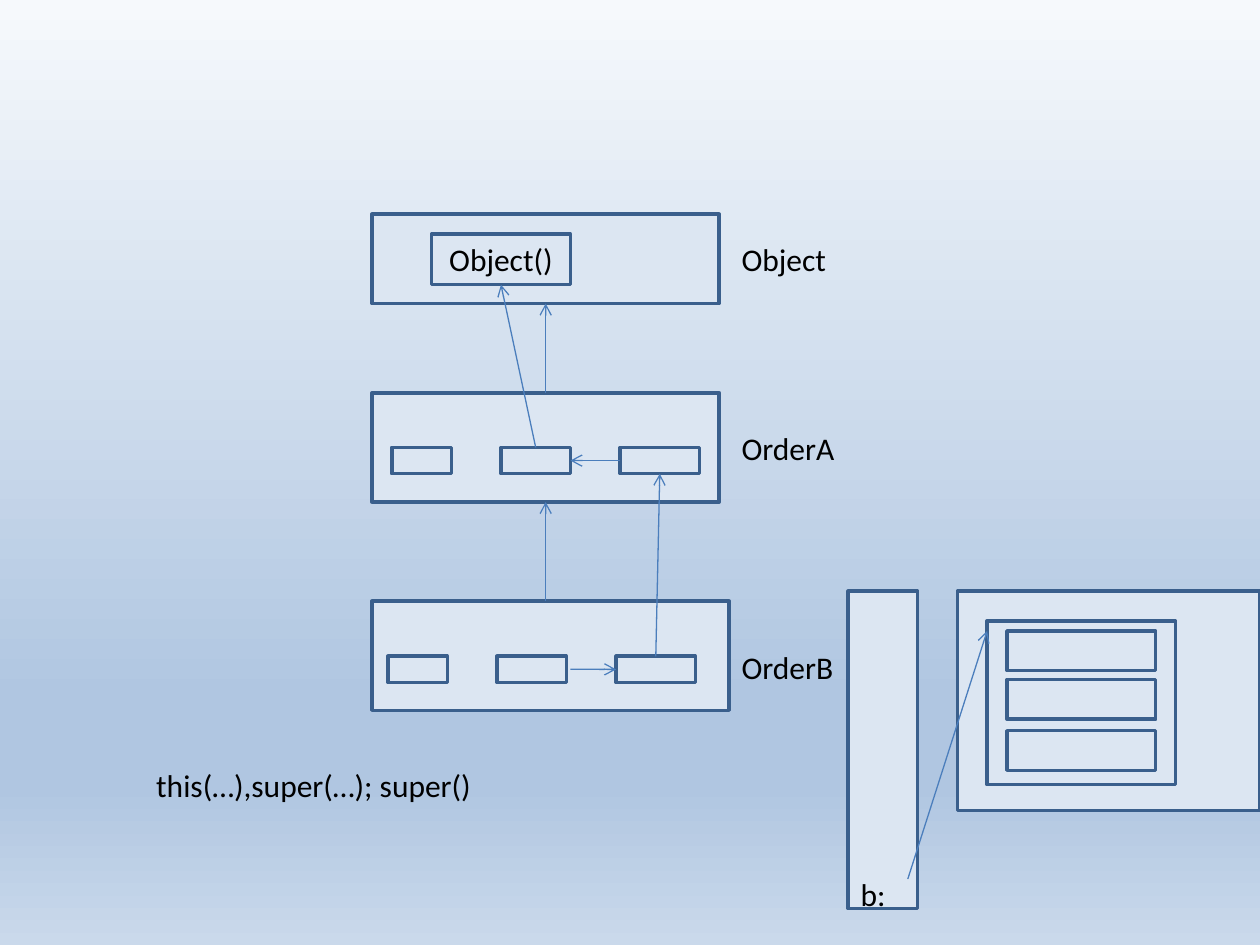
from lxml.etree import SubElement
from pptx import Presentation
from pptx.dml.color import RGBColor
from pptx.enum.shapes import MSO_CONNECTOR as Connector, MSO_SHAPE as Shape
from pptx.enum.text import MSO_ANCHOR as Anchor, MSO_AUTO_SIZE as AutoSize, PP_ALIGN as Align
from pptx.oxml.ns import qn
from pptx.util import Cm, Pt

BOX_FILL, BOX_LINE, ARROW_LINE = "DCE6F2", "3A5F8C", "4B7EBC"
BACKDROP = [(0, "F6F9FC"), (74, "B0C6E1"), (83, "B0C6E1"), (100, "CAD9EB")]
TOP, LEFT, BOTTOM, RIGHT = range(4)
CLASS_LEFT, LABEL_LEFT, ARROW_X = 7.5, 14.7, 11
LINE_HEIGHT = 1.02


def color(value):
    return RGBColor.from_string(value)


def paint_background(slide):
    fill = slide.background.fill
    fill.gradient()
    fill.gradient_angle = 270
    stops = slide.element.find(".//" + qn("a:gsLst"))
    for stop in list(stops):
        stops.remove(stop)
    for percent, value in BACKDROP:
        stop = SubElement(stops, qn("a:gs"), pos=str(percent * 1000))
        SubElement(stop, qn("a:srgbClr"), val=value)


def write(frame, text, size=18, font="Calibri", ink="000000", align=Align.LEFT):
    paragraph = frame.paragraphs[0]
    paragraph.alignment = align
    run = paragraph.add_run()
    run.text = text
    run.font.size = Pt(size)
    run.font.name = font
    run.font.color.rgb = color(ink)


def add_box(slide, left, top, width, height):
    box = slide.shapes.add_shape(Shape.RECTANGLE, Cm(left), Cm(top), Cm(width), Cm(height))
    box.shadow.inherit = False
    box.fill.solid()
    box.fill.fore_color.rgb = color(BOX_FILL)
    box.line.color.rgb = color(BOX_LINE)
    box.line.width = Pt(2)
    return box


def add_label(slide, text, left, top, width):
    label = slide.shapes.add_textbox(Cm(left), Cm(top), Cm(width), Cm(LINE_HEIGHT))
    label.text_frame.word_wrap = True
    label.text_frame.auto_size = AutoSize.SHAPE_TO_FIT_TEXT
    write(label.text_frame, text)


def add_arrow(slide, start=(0, 0), end=(0, 0), source=None, target=None):
    arrow = slide.shapes.add_connector(Connector.STRAIGHT, *map(Cm, start + end))
    if source:
        arrow.begin_connect(*source)
    if target:
        arrow.end_connect(*target)
    arrow.line.color.rgb = color(ARROW_LINE)
    arrow.line.width = Pt(0.75)
    SubElement(arrow.line._get_or_add_ln(), qn("a:tailEnd"), type="arrow")
    SubElement(arrow.element.spPr, qn("a:effectLst"))


def add_class(slide, name, top, width, height, label_top, label_width):
    box = add_box(slide, CLASS_LEFT, top, width, height)
    add_label(slide, name, LABEL_LEFT, label_top, label_width)
    return box


def add_constructors(slide, left, top):
    return [add_box(slide, left + offset, top, width, 0.53)
            for offset, width in ((0, 1.2), (2.2, 1.4), (4.6, 1.6))]


def draw_classes(slide):
    order_a = add_class(slide, "OrderA", 7.92, 7, 2.2, 8.53, 3.2)
    add_class(slide, "OrderB", 12.12, 7.2, 2.2, 12.93, 3.8)
    base = add_class(slide, "Object", 4.32, 7, 1.8, 4.72, 3.2)

    base_constructor = add_box(slide, 8.7, 4.72, 2.8, LINE_HEIGHT)
    base_constructor.text_frame.vertical_anchor = Anchor.MIDDLE
    write(base_constructor.text_frame, "Object()", align=Align.CENTER)
    _, a_middle, a_last = add_constructors(slide, 7.9, 9.02)
    _, _, b_last = add_constructors(slide, 7.82, 13.23)
    add_label(slide, "this(…),super(…); super()", 2.9, 15.32, 13.4)

    add_arrow(slide, start=(ARROW_X, 12.12), target=(order_a, BOTTOM))
    add_arrow(slide, source=(order_a, TOP), target=(base, BOTTOM))
    add_arrow(slide, source=(b_last, TOP), target=(a_last, BOTTOM))
    add_arrow(slide, start=(11.5, 13.49), target=(b_last, LEFT))
    add_arrow(slide, source=(a_last, LEFT), target=(a_middle, RIGHT))
    add_arrow(slide, source=(a_middle, TOP), target=(base_constructor, BOTTOM))


def draw_memory(slide):
    add_box(slide, 17.1, 11.92, 1.4, 6.4)
    add_box(slide, 19.3, 11.92, 6.1, 4.42)
    add_label(slide, "b:", 17.1, 17.52, 1.4)
    add_box(slide, 19.9, 12.52, 3.8, 3.3)
    for field_top in (14.73, 13.7, 12.72):
        add_box(slide, 20.3, field_top, 3, 0.8)
    add_arrow(slide, start=(18.3, 17.72), end=(19.9, 12.72))


def main():
    deck = Presentation()
    deck.slide_width, deck.slide_height = Cm(25.4), Cm(19.05)
    slide = deck.slides.add_slide(deck.slide_layouts[6])
    paint_background(slide)
    draw_classes(slide)
    draw_memory(slide)
    deck.save("out.pptx")


if __name__ == "__main__":
    main()
